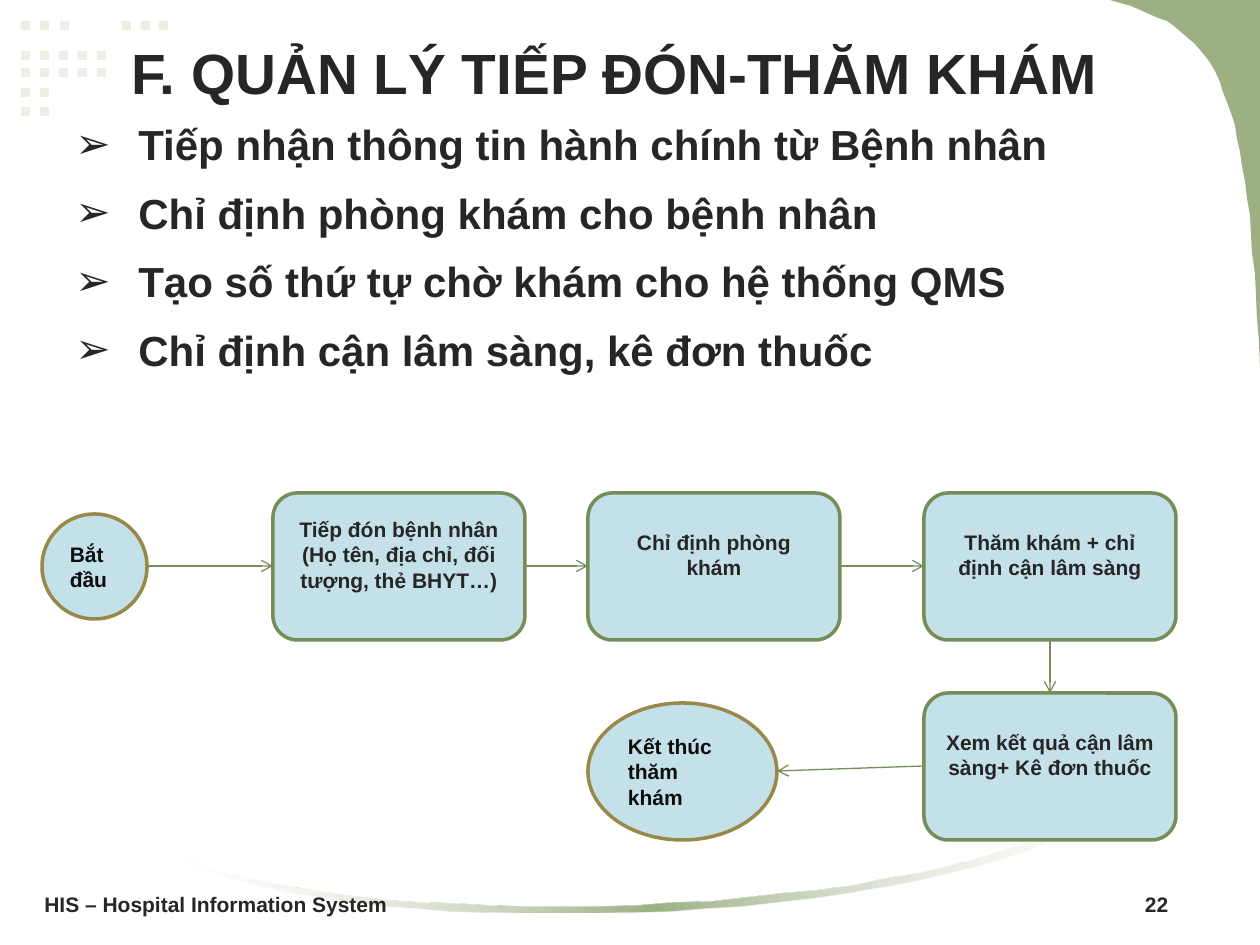
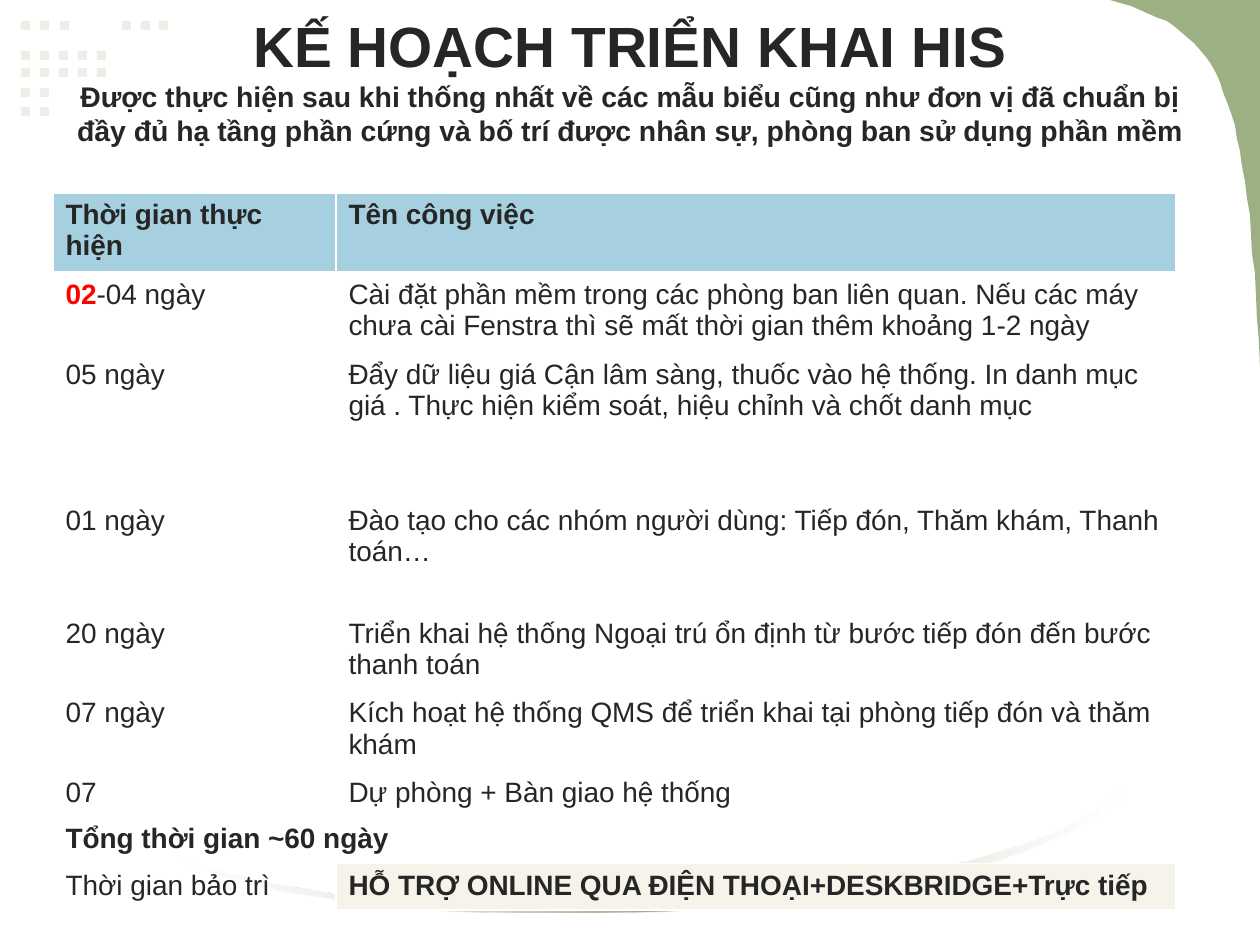
import dataclasses
import typing

import lxml.etree
import pptx
import pptx.dml.color
import pptx.enum.shapes
import pptx.enum.text
import pptx.oxml
import pptx.oxml.ns
import pptx.util

PX = 914400 / 126
FONT = "Arial"
COLOURS = {
    "text": "262626",
    "terminal_text": "0D0D0D",
    "dot": "EBEFE6",
    "leaf": "9CB084",
    "white": "FFFFFF",
    "node": "C4E0E9",
    "step_line": "768D5A",
    "terminal_line": "98894B",
    "table_head": "A6D0DF",
    "support": "F6F3EA",
    "alert": "FF0000",
}
SHAPE = pptx.enum.shapes.MSO_SHAPE
ALIGN = pptx.enum.text.PP_ALIGN
ANCHOR = pptx.enum.text.MSO_ANCHOR
QN = pptx.oxml.ns.qn

DOT_ROWS = {
    21: (21, 40, 60, 122, 141, 159),
    51: (21, 40, 59, 78, 97),
    68: (21, 40, 59, 78, 97),
    88: (21, 40),
    107: (21, 40),
}
CORNER = [
    (1110, 0), (1260, 0), (1260, 367), (1259, 341), (1257, 318), (1256, 295),
    (1255, 273), (1252, 253), (1251, 233), (1250, 215), (1247, 198), (1245, 181),
    (1242, 166), (1240, 151), (1237, 139), (1235, 125), (1231, 113), (1227, 102),
    (1223, 92), (1220, 82), (1216, 73), (1211, 64), (1206, 57), (1200, 50),
    (1194, 43), (1188, 38), (1181, 32), (1174, 26), (1167, 21), (1158, 18),
    (1149, 14), (1140, 10), (1131, 6), (1120, 3),
]
SWOOSH = [
    (1124, 788), (1124, 796), (1110, 808), (1092, 819), (1074, 830), (1052, 840),
    (1028, 850), (1002, 859), (974, 867), (945, 874), (914, 881), (882, 887),
    (848, 893), (814, 898), (777, 902), (742, 906), (706, 908), (669, 911),
    (631, 912), (595, 913), (558, 913), (522, 913), (485, 912), (450, 911),
    (416, 908), (383, 906), (352, 902), (321, 897), (292, 893), (265, 887),
    (241, 881), (217, 874), (197, 867), (179, 859), (179, 855), (197, 863),
    (218, 871), (242, 877), (267, 882), (295, 887), (324, 892), (354, 896),
    (387, 900), (420, 902), (455, 903), (490, 905), (525, 906), (562, 906),
    (600, 906), (636, 905), (673, 902), (711, 901), (747, 897), (782, 893),
    (818, 890), (852, 885), (886, 878), (919, 873), (949, 866), (978, 858),
    (1005, 850), (1031, 842), (1055, 832), (1076, 822), (1094, 811), (1110, 800),
]


class Box(typing.NamedTuple):
    left: int
    top: int
    width: int
    height: int

    def edge(self, side: str) -> tuple[int, int]:
        """Middle of the named side."""
        across, down = {"left": (0, 1), "right": (2, 1), "top": (1, 0), "bottom": (1, 2)}[side]
        return self.left + self.width * across // 2, self.top + self.height * down // 2


@dataclasses.dataclass(frozen=True)
class Node:
    box: Box
    lines: tuple[str, ...]
    terminal: bool = False


@dataclasses.dataclass(frozen=True)
class Run:
    text: str
    bold: bool = False
    colour: str = "text"


@dataclasses.dataclass(frozen=True)
class TableRow:
    height: int
    cells: tuple[tuple[Run, ...], ...]
    fills: tuple[str | None, str | None] = (None, None)
    bottom_border: int = 1


STEP_SIZE = (252, 147)
NODES = {
    "start": Node(Box(42, 514, 105, 105), ("Bắt đầu",), terminal=True),
    "reception": Node(Box(273, 493, *STEP_SIZE),
                      ("Tiếp đón bệnh nhân", "(Họ tên, địa chỉ, đối tượng, thẻ BHYT…)")),
    "room": Node(Box(588, 493, *STEP_SIZE), ("Chỉ định phòng khám",)),
    "exam": Node(Box(924, 493, *STEP_SIZE), ("Thăm khám + chỉ định cận lâm sàng",)),
    "results": Node(Box(924, 693, *STEP_SIZE), ("Xem kết quả cận lâm sàng+ Kê đơn thuốc",)),
    "end": Node(Box(588, 703, 189, 137), ("Kết thúc thăm khám",), terminal=True),
}
ARROWS = [
    ("start", "right", "reception", "left"),
    ("reception", "right", "room", "left"),
    ("room", "right", "exam", "left"),
    ("exam", "bottom", "results", "top"),
    ("results", "left", "end", "right"),
]
DUTIES = [
    "Tiếp nhận thông tin hành chính từ Bệnh nhân",
    "Chỉ định phòng khám cho bệnh nhân",
    "Tạo số thứ tự chờ khám cho hệ thống QMS",
    "Chỉ định cận lâm sàng, kê đơn thuốc",
]


def task(height: int, duration: str, work: str) -> TableRow:
    return TableRow(height, ((Run(duration),), (Run(work),)))


PLAN = [
    TableRow(46, ((Run("Thời gian thực hiện", True),), (Run("Tên công việc", True),)),
             ("table_head", "table_head"), 3),
    TableRow(79, ((Run("02", True, "alert"), Run("-04 ngày")),
                  (Run("Cài đặt phần mềm trong các phòng ban liên quan. Nếu các máy chưa cài "
                       "Fenstra thì sẽ mất thời gian thêm khoảng 1-2 ngày"),))),
    task(146, "05 ngày", "Đẩy dữ liệu giá Cận lâm sàng, thuốc vào hệ thống. In danh mục giá . "
                         "Thực hiện kiểm soát, hiệu chỉnh và chốt danh mục"),
    task(113, "01 ngày", "Đào tạo cho các nhóm người dùng: Tiếp đón, Thăm khám, Thanh toán…"),
    task(79, "20 ngày", "Triển khai hệ thống Ngoại trú ổn định từ bước tiếp đón đến bước thanh toán"),
    task(79, "07 ngày", "Kích hoạt hệ thống QMS để triển khai tại phòng tiếp đón và thăm khám"),
    task(46, "07", "Dự phòng + Bàn giao hệ thống"),
    TableRow(46, ((Run("Tổng thời gian ~60 ngày", True),),)),
    TableRow(46, ((Run("Thời gian bảo trì"),),
                  (Run("HỖ TRỢ ONLINE QUA ĐIỆN THOẠI+DESKBRIDGE+Trực tiếp", True),)),
             (None, "support")),
]


def px(length: int) -> pptx.util.Emu:
    return pptx.util.Emu(round(length * PX))


def rgb(name: str) -> pptx.dml.color.RGBColor:
    return pptx.dml.color.RGBColor.from_string(COLOURS[name])


def add_run(paragraph, text: str, size: float, bold: bool = True, colour: str = "text") -> None:
    run = paragraph.add_run()
    run.text = text
    run.font.name = FONT
    run.font.size = pptx.util.Pt(size)
    run.font.bold = bold
    run.font.color.rgb = rgb(colour)


def paragraphs(frame, count: int) -> list:
    return [frame.paragraphs[0]] + [frame.add_paragraph() for _ in range(count - 1)]


def add_text_box(slide, box: Box, anchor):
    frame = slide.shapes.add_textbox(*map(px, box)).text_frame
    frame.word_wrap = True
    frame.vertical_anchor = anchor
    return frame


def paint(shape, fill: str) -> None:
    shape.shadow.inherit = False
    shape.fill.solid()
    shape.fill.fore_color.rgb = rgb(fill)
    shape.line.fill.background()


def add_outline(slide, points: list[tuple[int, int]]):
    builder = slide.shapes.build_freeform(*points[0], scale=PX)
    builder.add_line_segments(points[1:], close=True)
    shape = builder.convert_to_shape()
    paint(shape, "leaf")
    return shape


def fade_ends(shape) -> None:
    """Replace the fill by a left-to-right gradient that fades out at both ends."""
    fade = f'<a:srgbClr val="{COLOURS["white"]}"><a:alpha val="30000"/></a:srgbClr>'
    leaf = f'<a:srgbClr val="{COLOURS["leaf"]}"/>'
    stops = "".join(f'<a:gs pos="{place}">{colour}</a:gs>'
                    for place, colour in ((0, fade), (50000, leaf), (100000, fade)))
    gradient = pptx.oxml.parse_xml(
        f'<a:gradFill {pptx.oxml.ns.nsdecls("a")}><a:gsLst>{stops}</a:gsLst>'
        '<a:lin ang="0" scaled="0"/></a:gradFill>')
    properties = shape._element.spPr
    properties.replace(properties.find(QN("a:solidFill")), gradient)


def add_themed_slide(deck):
    slide = deck.slides.add_slide(deck.slide_layouts[6])
    for top, lefts in DOT_ROWS.items():
        for left in lefts:
            paint(slide.shapes.add_shape(SHAPE.RECTANGLE, *map(px, (left, top, 9, 9))), "dot")
    add_outline(slide, CORNER)
    fade_ends(add_outline(slide, SWOOSH))
    return slide


def add_title(slide, box: Box, title: str, anchor, subtitle: str = "") -> None:
    paragraph = add_text_box(slide, box, anchor).paragraphs[0]
    paragraph.alignment = ALIGN.CENTER
    add_run(paragraph, title, 32.4)
    if subtitle:
        paragraph.add_line_break()
        add_run(paragraph, subtitle, 16.2)


def add_duties(slide) -> None:
    frame = add_text_box(slide, Box(63, 105, 1071, 284), ANCHOR.TOP)
    for index, (paragraph, duty) in enumerate(zip(paragraphs(frame, len(DUTIES)), DUTIES)):
        properties = paragraph._p.get_or_add_pPr()
        properties.set("marL", str(px(63)))
        properties.set("indent", str(px(-63)))
        lxml.etree.SubElement(properties, QN("a:buFont"), typeface=FONT)
        lxml.etree.SubElement(properties, QN("a:buChar"), char="➢")
        paragraph.line_spacing = 1.15
        if index:
            paragraph.space_before = pptx.util.Pt(6)
        add_run(paragraph, duty, 24)


def add_node(slide, node: Node) -> None:
    preset = SHAPE.OVAL if node.terminal else SHAPE.ROUNDED_RECTANGLE
    shape = slide.shapes.add_shape(preset, *map(px, node.box))
    paint(shape, "node")
    shape.line.color.rgb = rgb("terminal_line" if node.terminal else "step_line")
    shape.line.width = pptx.util.Pt(2)
    frame = shape.text_frame
    frame.word_wrap = True
    frame.vertical_anchor = ANCHOR.MIDDLE
    if not node.terminal:
        frame.margin_bottom = px(30)
    for paragraph, line in zip(paragraphs(frame, len(node.lines)), node.lines):
        paragraph.alignment = ALIGN.LEFT if node.terminal else ALIGN.CENTER
        add_run(paragraph, line, 12, colour="terminal_text" if node.terminal else "text")


def add_arrow(slide, start: tuple[int, int], end: tuple[int, int]) -> None:
    arrow = slide.shapes.add_connector(
        pptx.enum.shapes.MSO_CONNECTOR.STRAIGHT, *map(px, start + end))
    arrow.line.color.rgb = rgb("step_line")
    arrow.line.width = pptx.util.Pt(0.75)
    properties = arrow._element.spPr
    lxml.etree.SubElement(properties.find(QN("a:ln")), QN("a:tailEnd"), type="arrow")
    lxml.etree.SubElement(properties, QN("a:effectLst"))


def add_footer(slide, label: str, number: str) -> None:
    paragraph = add_text_box(slide, Box(32, 882, 1197, 44), ANCHOR.MIDDLE).paragraphs[0]
    tabs = lxml.etree.SubElement(paragraph._p.get_or_add_pPr(), QN("a:tabLst"))
    lxml.etree.SubElement(tabs, QN("a:tab"), pos=str(px(1124)), algn="r")
    add_run(paragraph, f"{label}\t{number}", 12)


def set_borders(cell, bottom: int) -> None:
    properties = cell._tc.get_or_add_tcPr()
    for index, (side, width) in enumerate(zip("LRTB", (1, 1, 1, bottom))):
        properties.insert(index, pptx.oxml.parse_xml(
            f'<a:ln{side} {pptx.oxml.ns.nsdecls("a")} w="{pptx.util.Pt(width)}"><a:solidFill>'
            f'<a:srgbClr val="{COLOURS["white"]}"/></a:solidFill></a:ln{side}>'))


def add_plan(slide) -> None:
    box = Box(53, 193, 1123, sum(row.height for row in PLAN))
    table = slide.shapes.add_table(len(PLAN), 2, *map(px, box)).table
    table.first_row = table.horz_banding = False
    for column, width in zip(table.columns, (283, 840)):
        column.width = px(width)
    for index, row in enumerate(PLAN):
        table.rows[index].height = px(row.height)
        for cell, fill in zip(table.rows[index].cells, row.fills):
            if fill:
                cell.fill.solid()
                cell.fill.fore_color.rgb = rgb(fill)
            else:
                cell.fill.background()
            set_borders(cell, row.bottom_border)
        if len(row.cells) == 1:
            table.cell(index, 0).merge(table.cell(index, 1))
        for column, runs in enumerate(row.cells):
            for run in runs:
                add_run(table.cell(index, column).text_frame.paragraphs[0],
                        run.text, 16, run.bold, run.colour)


def build_reception_slide(deck) -> None:
    slide = add_themed_slide(deck)
    add_title(slide, Box(63, 32, 1103, 115), "F. QUẢN LÝ TIẾP ĐÓN-THĂM KHÁM", ANCHOR.TOP)
    add_duties(slide)
    for node in NODES.values():
        add_node(slide, node)
    for source, source_side, target, target_side in ARROWS:
        add_arrow(slide, NODES[source].box.edge(source_side), NODES[target].box.edge(target_side))
    add_footer(slide, "HIS – Hospital Information System", "22")


def build_plan_slide(deck) -> None:
    slide = add_themed_slide(deck)
    add_title(slide, Box(63, 0, 1134, 158), "KẾ HOẠCH TRIỂN KHAI HIS", ANCHOR.MIDDLE,
              "Được thực hiện sau khi thống nhất về các mẫu biểu cũng như đơn vị đã chuẩn bị "
              "đầy đủ hạ tầng phần cứng và bố trí được nhân sự, phòng ban sử dụng phần mềm")
    add_plan(slide)


def main() -> None:
    deck = pptx.Presentation()
    deck.slide_width, deck.slide_height = px(1260), px(945)
    build_reception_slide(deck)
    build_plan_slide(deck)
    deck.save("out.pptx")


if __name__ == "__main__":
    main()
